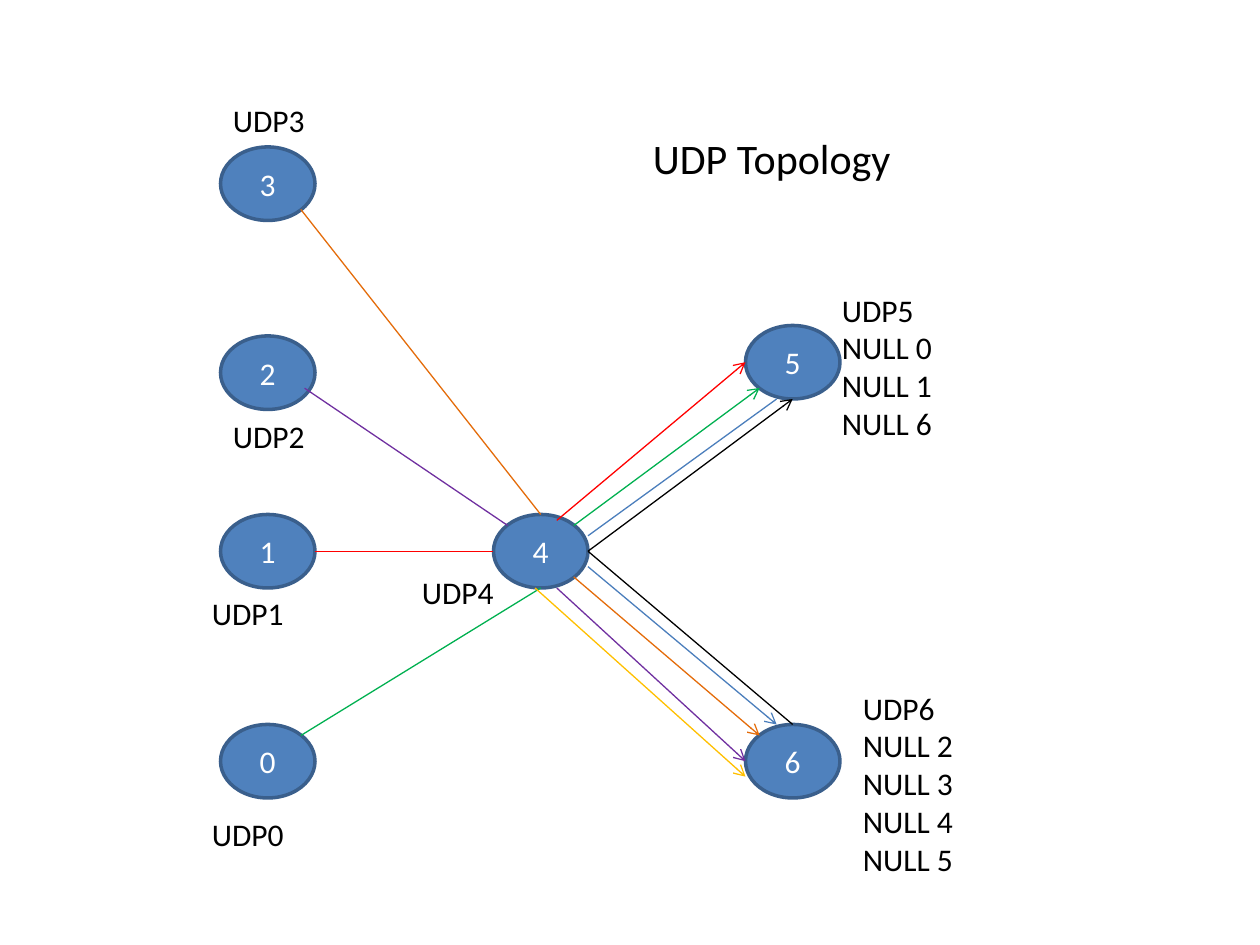
from dataclasses import dataclass

from lxml import etree
from pptx import Presentation
from pptx import util as u
from pptx.dml.color import RGBColor
from pptx.enum import shapes, text
from pptx.oxml.ns import qn


@dataclass(frozen=True)
class Theme:
    font: str = "Calibri"
    body: int = 18
    title: int = 24
    ink: str = "000000"
    light: str = "FFFFFF"
    node: str = "4F81BD"
    rim: str = "3A5F8C"
    rim_width: float = 2
    link_width: float = 0.75
    green: str = "00B050"
    red: str = "FF0000"
    purple: str = "7030A0"
    orange: str = "E46C0A"
    yellow: str = "FFC000"
    blue: str = "4B7EBC"


T = Theme()
CELL = u.Inches(1) / 12
COLS, ROWS = 120, 90
NODE_W, NODE_H = 9, 7
LINE_H, PADDING = 3.64, 1.2

NODES = {"3": (21, 14), "2": (21, 32), "1": (21, 49), "0": (21, 69),
         "5": (71, 31), "4": (47, 49), "6": (71, 69)}

LABELS = [
    (21, 9, 11, ["UDP3"]),
    (81, 65, 14, ["UDP6", "NULL 2", "NULL 3", "NULL 4", "NULL 5"]),
    (19, 77, 10, ["UDP0"]),
    (19, 56, 10, ["UDP1"]),
    (21, 39.1, 10, ["UDP2"]),
    (39, 54, 11, ["UDP4"]),
    (79, 27.1, 14, ["UDP5", "NULL 0", "NULL 1", "NULL 6"]),
]

N, E, S, W = (0.5, 0), (1, 0.5), (0.5, 1), (0, 0.5)
NE, SE, SW, NW = (0.85, 0.15), (0.85, 0.85), (0.15, 0.85), (0.15, 0.15)

LINKS = [
    (T.green, "0", NE, "4", S, False),
    (T.green, "4", NE, "5", SW, True),
    (T.red, "1", E, "4", W, False),
    (T.red, "4", (0.67, 0.08), "5", W, True),
    (T.purple, "2", (0.89, 0.71), "4", NW, False),
    (T.purple, "4", (0.67, 1), "6", W, True),
    (T.orange, "3", SE, "4", N, False),
    (T.orange, "4", SE, "6", NW, True),
    (T.yellow, "4", (0.44, 1), "6", (0, 0.71), True),
    (T.blue, "5", (0.33, 1), "4", (1, 0.29), False),
    (T.blue, "4", (1, 0.71), "6", (0.33, 0), True),
    (T.ink, "6", N, "4", E, False),
    (T.ink, "4", E, "5", S, True),
]


def grid(*cells):
    return [u.Emu(round(c * CELL)) for c in cells]


def rgb(color):
    return RGBColor.from_string(color)


def add_run(p, words, size, color):
    r = p.add_run()
    r.text = words
    r.font.name = T.font
    r.font.size = u.Pt(size)
    r.font.color.rgb = rgb(color)


def add_node(s, name, col, row):
    sp = s.shapes.add_shape(shapes.MSO_SHAPE.OVAL, *grid(col, row, NODE_W, NODE_H))
    sp.shadow.inherit = False
    sp.fill.solid()
    sp.fill.fore_color.rgb = rgb(T.node)
    sp.line.color.rgb = rgb(T.rim)
    sp.line.width = u.Pt(T.rim_width)
    tf = sp.text_frame
    tf.vertical_anchor = text.MSO_ANCHOR.MIDDLE
    p = tf.paragraphs[0]
    p.alignment = text.PP_ALIGN.CENTER
    add_run(p, name, T.body, T.light)


def add_label(s, col, row, width, lines, size=T.body):
    height = PADDING + LINE_H * len(lines) * size / T.body
    sp = s.shapes.add_textbox(*grid(col, row, width, height))
    tf = sp.text_frame
    tf.word_wrap = True
    tf.auto_size = text.MSO_AUTO_SIZE.SHAPE_TO_FIT_TEXT
    for i, words in enumerate(lines):
        p = tf.add_paragraph() if i else tf.paragraphs[0]
        add_run(p, words, size, T.ink)


def rim_point(name, share):
    col, row = NODES[name]
    return grid(col + share[0] * NODE_W, row + share[1] * NODE_H)


def add_link(s, color, start, start_share, end, end_share, arrow):
    sp = s.shapes.add_connector(shapes.MSO_CONNECTOR.STRAIGHT,
                                *rim_point(start, start_share),
                                *rim_point(end, end_share))
    sp.line.color.rgb = rgb(color)
    sp.line.width = u.Pt(T.link_width)
    if arrow:
        etree.SubElement(sp.line._get_or_add_ln(), qn("a:tailEnd"), type="arrow")
    etree.SubElement(sp._element.spPr, qn("a:effectLst"))


def main():
    prs = Presentation()
    prs.slide_width, prs.slide_height = grid(COLS, ROWS)
    s = prs.slides.add_slide(prs.slide_layouts[6])
    for name, (col, row) in NODES.items():
        add_node(s, name, col, row)
    for label in LABELS:
        add_label(s, *label)
    for link in LINKS:
        add_link(s, *link)
    add_label(s, 61, 12, 27, ["UDP Topology"], T.title)
    prs.save("out.pptx")


if __name__ == "__main__":
    main()
